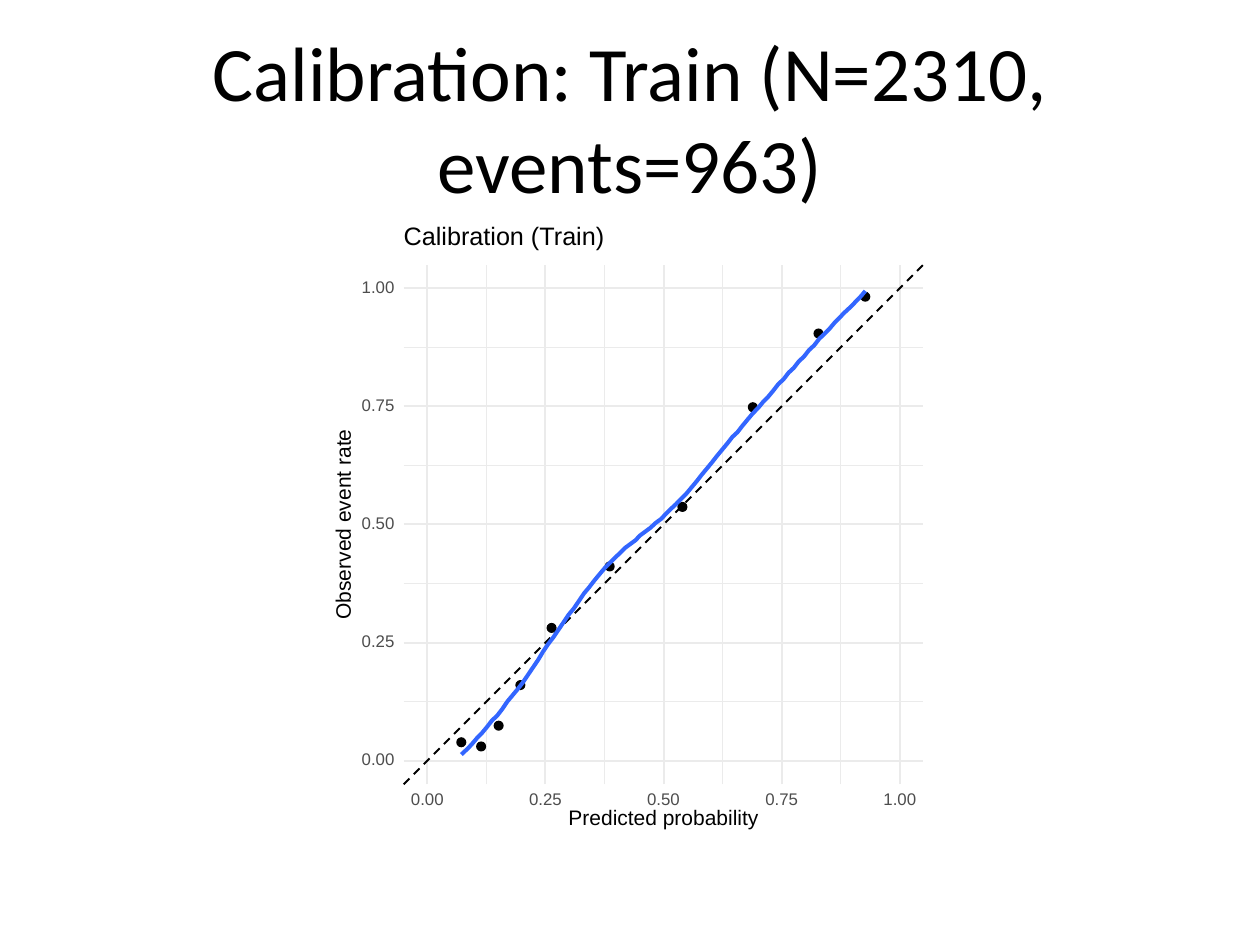
from lxml import etree
from pptx import Presentation
from pptx.dml.color import RGBColor
from pptx.enum.dml import MSO_LINE as Dash
from pptx.enum.shapes import MSO_CONNECTOR as Connector, MSO_SHAPE as Shape
from pptx.enum.text import MSO_ANCHOR as Anchor, PP_ALIGN as Align
from pptx.oxml.ns import qn
from pptx.util import Pt

BLACK, WHITE, GRID, TICK, BLUE = "000000", "FFFFFF", "EBEBEB", "4D4D4D", "3366FF"

# All rates are in percent
AXIS_MIN, AXIS_MAX = -5, 105
MAJOR = [0, 25, 50, 75, 100]
MINOR = [12.5, 37.5, 62.5, 87.5]
# Predicted probability, observed event rate
BINS = [(7.2, 3.9), (11.4, 3), (15.1, 7.4), (19.7, 16), (26.3, 28.1),
        (38.6, 41.1), (54, 53.7), (68.9, 74.8), (82.8, 90.4), (92.7, 98.2)]
# Smoothed event rate at even steps from the first bin to the last
SMOOTHED = [
    1.3, 2.3, 3.4, 4.7, 5.8, 7.1, 8.5, 9.5, 10.9, 12.5,
    13.8, 15.1, 16.5, 18.1, 19.7, 21.3, 23.1, 24.7, 26.1, 27.7,
    29.3, 30.9, 32.2, 33.8, 35.4, 36.7, 38.1, 39.4, 40.7, 41.8,
    42.9, 43.9, 45, 45.8, 46.6, 47.7, 48.5, 49.3, 50.3, 51.1,
    52.2, 53.3, 54.3, 55.4, 56.5, 57.8, 59.1, 60.5, 61.8, 63.1,
    64.5, 65.8, 67.1, 68.5, 69.5, 70.9, 72.2, 73.5, 74.6, 75.9,
    77, 78.3, 79.7, 80.7, 82.1, 83.1, 84.5, 85.5, 86.9, 87.9,
    89.3, 90.3, 91.4, 92.7, 93.8, 94.9, 95.9, 97, 98.1, 99.4]


def color(value):
    return RGBColor.from_string(value)


def style_line(line, hue, width):
    line.color.rgb = color(hue)
    line.width = Pt(width)


def add_filled(shapes, kind, box, fill, line_width=None):
    shape = shapes.add_shape(kind, *map(Pt, box))
    shape.shadow.inherit = False
    shape.fill.solid()
    shape.fill.fore_color.rgb = color(fill)
    if line_width:
        style_line(shape.line, fill, line_width)
    else:
        shape.line.fill.background()


def add_line(shapes, start, end, hue, width):
    line = shapes.add_connector(Connector.STRAIGHT, *map(Pt, (*start, *end)))
    style_line(line.line, hue, width)
    etree.SubElement(line._element.spPr, qn("a:effectLst"))
    return line


def add_label(shapes, text, box, size, hue=BLACK, rotation=0):
    label = shapes.add_textbox(*map(Pt, box))
    label.rotation = rotation
    frame = label.text_frame
    frame.text = text
    frame.word_wrap = False
    frame.vertical_anchor = Anchor.MIDDLE
    frame.margin_left = frame.margin_right = frame.margin_top = frame.margin_bottom = 0
    paragraph = frame.paragraphs[0]
    paragraph.line_spacing = Pt(size)
    font = paragraph.runs[0].font
    font.name, font.size, font.color.rgb = "Arial", Pt(size), color(hue)


def add_title(slide, box, text):
    frame = slide.shapes.add_textbox(*map(Pt, box)).text_frame
    frame.text = text
    frame.word_wrap = True
    frame.vertical_anchor = Anchor.MIDDLE
    paragraph = frame.paragraphs[0]
    paragraph.alignment = Align.CENTER
    font = paragraph.runs[0].font
    font.name, font.size, font.color.rgb = "Calibri", Pt(44), color(BLACK)


def add_calibration_plot(slide, box):
    shapes = slide.shapes.add_group_shape().shapes
    box_left, box_top, box_width, box_height = box
    page_width = 347
    page_left = box_left + (box_width - page_width) / 2
    side = 297
    left, top = page_left + 44.2, box_top + 25.2
    right, bottom = left + side, top + side
    middle_x, middle_y = left + side / 2, top + side / 2
    unit = side / (AXIS_MAX - AXIS_MIN)

    def x_at(rate):
        return left + (rate - AXIS_MIN) * unit

    def y_at(rate):
        return bottom - (rate - AXIS_MIN) * unit

    # Backgrounds
    add_filled(shapes, Shape.RECTANGLE, box, WHITE, 0.75)
    add_filled(shapes, Shape.RECTANGLE, (page_left, box_top, page_width, box_height), WHITE)

    # Grid
    for rates, width in ((MINOR, 0.58), (MAJOR, 1.16)):
        for rate in rates:
            add_line(shapes, (left, y_at(rate)), (right, y_at(rate)), GRID, width)
        for rate in rates:
            add_line(shapes, (x_at(rate), bottom), (x_at(rate), top), GRID, width)

    # Line of perfect calibration
    ideal = add_line(shapes, (left, bottom), (right, top), BLACK, 1.16)
    ideal.line.dash_style = Dash.DASH

    # Observed bins
    dot = 5
    for predicted, observed in BINS:
        add_filled(shapes, Shape.OVAL,
                   (x_at(predicted) - dot / 2, y_at(observed) - dot / 2, dot, dot), BLACK, 0.77)

    # Smoothed curve
    first, last = BINS[0][0], BINS[-1][0]
    step = (last - first) / (len(SMOOTHED) - 1)
    vertices = [(Pt(x_at(first + i * step)), Pt(y_at(rate))) for i, rate in enumerate(SMOOTHED)]
    builder = shapes.build_freeform(*vertices[0])
    builder.add_line_segments(vertices[1:], close=False)
    curve = builder.convert_to_shape()
    curve.shadow.inherit = False
    curve.fill.background()
    style_line(curve.line, BLUE, 2.33)

    # Tick labels
    tick_width, tick_height = 18.7, 7.2
    for rate in MAJOR:
        text = f"{rate / 100:.2f}"
        add_label(shapes, text, (left - 24, y_at(rate) - tick_height / 2, tick_width, tick_height),
                  9.6, TICK)
        add_label(shapes, text, (x_at(rate) - tick_width / 2, bottom + 5.4, tick_width, tick_height),
                  9.6, TICK)

    # Axis titles and plot title
    name_width = 108.7
    add_label(shapes, "Predicted probability",
              (middle_x - name_width / 2, bottom + 14.8, name_width, 10.8), 12)
    add_label(shapes, "Observed event rate",
              (left - 33.8 - name_width / 2, middle_y - 4.3, name_width, 8.6), 12, rotation=270)
    add_label(shapes, "Calibration (Train)", (left, box_top + 2.9, 115.2, 13.7), 14.4)


def main():
    deck = Presentation()
    deck.slide_width, deck.slide_height = Pt(720), Pt(540)
    slide = deck.slides.add_slide(deck.slide_layouts[6])
    add_title(slide, (36, 21.6, 648, 90), "Calibration: Train (N=2310, events=963)")
    add_calibration_plot(slide, (36, 126, 648, 356.4))
    deck.save("out.pptx")


if __name__ == "__main__":
    main()
